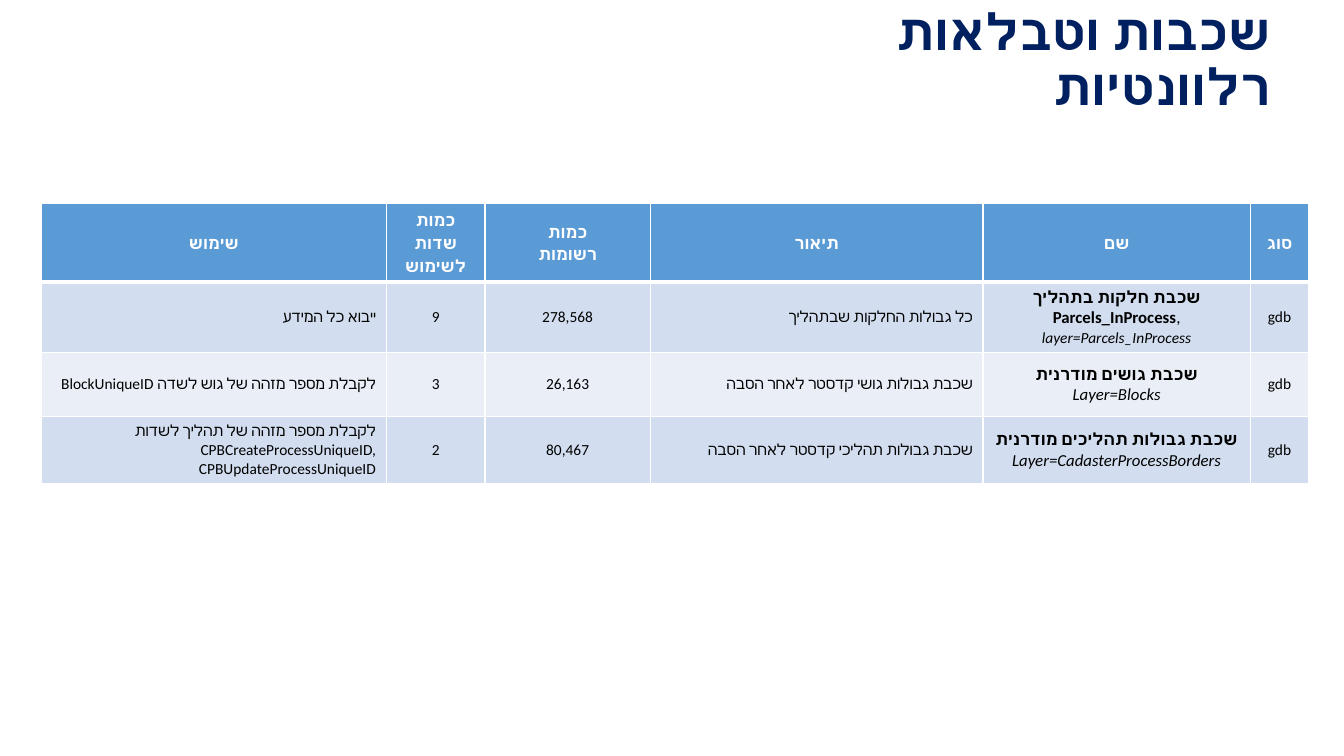
from dataclasses import dataclass
from lxml.etree import SubElement
from pptx import Presentation
from pptx.dml.color import RGBColor
from pptx.enum.text import MSO_ANCHOR as Anchor, PP_ALIGN as Align
from pptx.oxml.ns import qn
from pptx.util import Inches, Pt

NAVY = RGBColor(0x00, 0x20, 0x60)
HEADER_BLUE = RGBColor(0x5B, 0x9B, 0xD5)
BAND_DARK = RGBColor(0xD2, 0xDE, 0xEF)
BAND_LIGHT = RGBColor(0xEA, 0xEF, 0xF7)
WHITE = RGBColor(0xFF, 0xFF, 0xFF)
BLACK = RGBColor(0x00, 0x00, 0x00)


@dataclass(frozen=True)
class Type:
    """Look of a run of text."""
    size: int
    color: RGBColor = BLACK
    bold: bool = False
    italic: bool = False
    font: str = "Calibri"


TITLE = Type(36, NAVY, bold=True)
HEADING = Type(12, WHITE, bold=True, font="Noto Sans")
BODY = Type(11)
NAME = Type(12, bold=True)
COMMA = Type(12)
LAYER = Type(12, italic=True)
SMALL_LAYER = Type(11, italic=True)


class Page:
    """Holds the slide and its style; lengths are percent of the slide's size."""

    def __init__(self, deck):
        """Add a blank slide to the deck."""
        self.column = deck.slide_width / 100
        self.row = deck.slide_height / 100
        self.slide = deck.slides.add_slide(deck.slide_layouts[6])

    def box(self, left, top, width, height):
        """Turn percentages into slide lengths."""
        return (int(left * self.column), int(top * self.row),
                int(width * self.column), int(height * self.row))

    def set_text(self, frame, paragraphs, rtl=False):
        """Fill a text frame with paragraphs, each a list of (text, type) runs."""
        frame.word_wrap = True
        frame.text = "\n".join(runs[0][0] for runs in paragraphs)
        for paragraph, runs in zip(frame.paragraphs, paragraphs):
            paragraph.alignment = Align.RIGHT if rtl else Align.CENTER
            if rtl:
                paragraph._p.get_or_add_pPr().set("rtl", "1")
            for text, _ in runs[1:]:
                paragraph.add_run().text = text
            for run, (_, style) in zip(paragraph.runs, runs):
                self.style_font(run.font, style)

    def style_font(self, font, style):
        """Apply a type to a font, for Latin and Hebrew letters alike."""
        font.size, font.name = Pt(style.size), style.font
        font.bold, font.italic = style.bold, style.italic
        font.color.rgb = style.color
        SubElement(font._element, qn("a:cs"), typeface=style.font)

    def title(self, text, *place):
        """Add the right-to-left title."""
        frame = self.slide.shapes.add_textbox(*self.box(*place)).text_frame
        self.set_text(frame, [[(text, TITLE)]], rtl=True)
        frame.vertical_anchor = Anchor.MIDDLE
        frame.paragraphs[0].line_spacing = 0.9

    def border(self, cell, side, points):
        """Draw one white edge of a table cell."""
        line = SubElement(cell._tc.get_or_add_tcPr(), qn(f"a:ln{side}"),
                          w=str(Pt(points)))
        SubElement(SubElement(line, qn("a:solidFill")), qn("a:srgbClr"),
                   val=str(WHITE))

    def table(self, rows, left, top, widths, heights, rtl_columns):
        """Add a banded table under a heading row."""
        place = self.box(left, top, sum(widths), sum(heights))
        table = self.slide.shapes.add_table(len(rows), len(widths), *place).table
        for column, width in zip(table.columns, widths):
            column.width = int(width * self.column)
        for r, (row, height) in enumerate(zip(rows, heights)):
            table.rows[r].height = int(height * self.row)
            fill = HEADER_BLUE if r == 0 else (BAND_LIGHT, BAND_DARK)[r % 2]
            for c, paragraphs in enumerate(row):
                cell = table.cell(r, c)
                for side in "LRTB" if r == 0 else "LRB":
                    self.border(cell, side, 3 if (r, side) == (0, "B") else 1)
                cell.fill.solid()
                cell.fill.fore_color.rgb = fill
                cell.vertical_anchor = Anchor.MIDDLE
                self.set_text(cell.text_frame, paragraphs,
                              rtl=r > 0 and c in rtl_columns)


def lines(style, *texts):
    """Make one paragraph of a single type for each text."""
    return [[(text, style)] for text in texts]


def layer_row(usage, fields, records, description, name):
    """Make the table row of one geodatabase layer."""
    return [*(lines(BODY, text) for text in (usage, fields, records, description)),
            name, lines(BODY, "gdb")]


headings = [lines(HEADING, *texts) for texts in (
    ["שימוש"], ["כמות", "שדות", "לשימוש"], ["כמות", "רשומות"],
    ["תיאור"], ["שם"], ["סוג"])]
layers = [
    layer_row("ייבוא כל המידע", "9", "278,568", "כל גבולות החלקות שבתהליך",
              [[("שכבת חלקות בתהליך", NAME)],
               [("Parcels_InProcess", NAME), (",", COMMA)],
               [("layer=Parcels_InProcess", SMALL_LAYER)]]),
    layer_row("לקבלת מספר מזהה של גוש לשדה BlockUniqueID", "3", "26,163",
              "שכבת גבולות גושי קדסטר לאחר הסבה",
              [[("שכבת גושים מודרנית", NAME)], [("Layer=Blocks", LAYER)]]),
    layer_row("לקבלת מספר מזהה של תהליך לשדות "
              "CPBCreateProcessUniqueID, CPBUpdateProcessUniqueID", "2", "80,467",
              "שכבת גבולות תהליכי קדסטר לאחר הסבה",
              [[("שכבת גבולות תהליכים מודרנית", NAME)],
               [("Layer=CadasterProcessBorders", LAYER)]]),
]

deck = Presentation()
deck.slide_width, deck.slide_height = Inches(13.33), Inches(7.5)
page = Page(deck)
page.table([headings, *layers], 3.08, 26.93,
           widths=[25.66, 7.35, 12.3, 24.76, 19.88, 4.35],
           heights=[9.33, 7.73, 8.53, 8.53], rtl_columns=(0, 3))
page.title("שכבות וטבלאות רלוונטיות", 56.26, 3.6, 39.01, 9.07)
deck.save("out.pptx")
